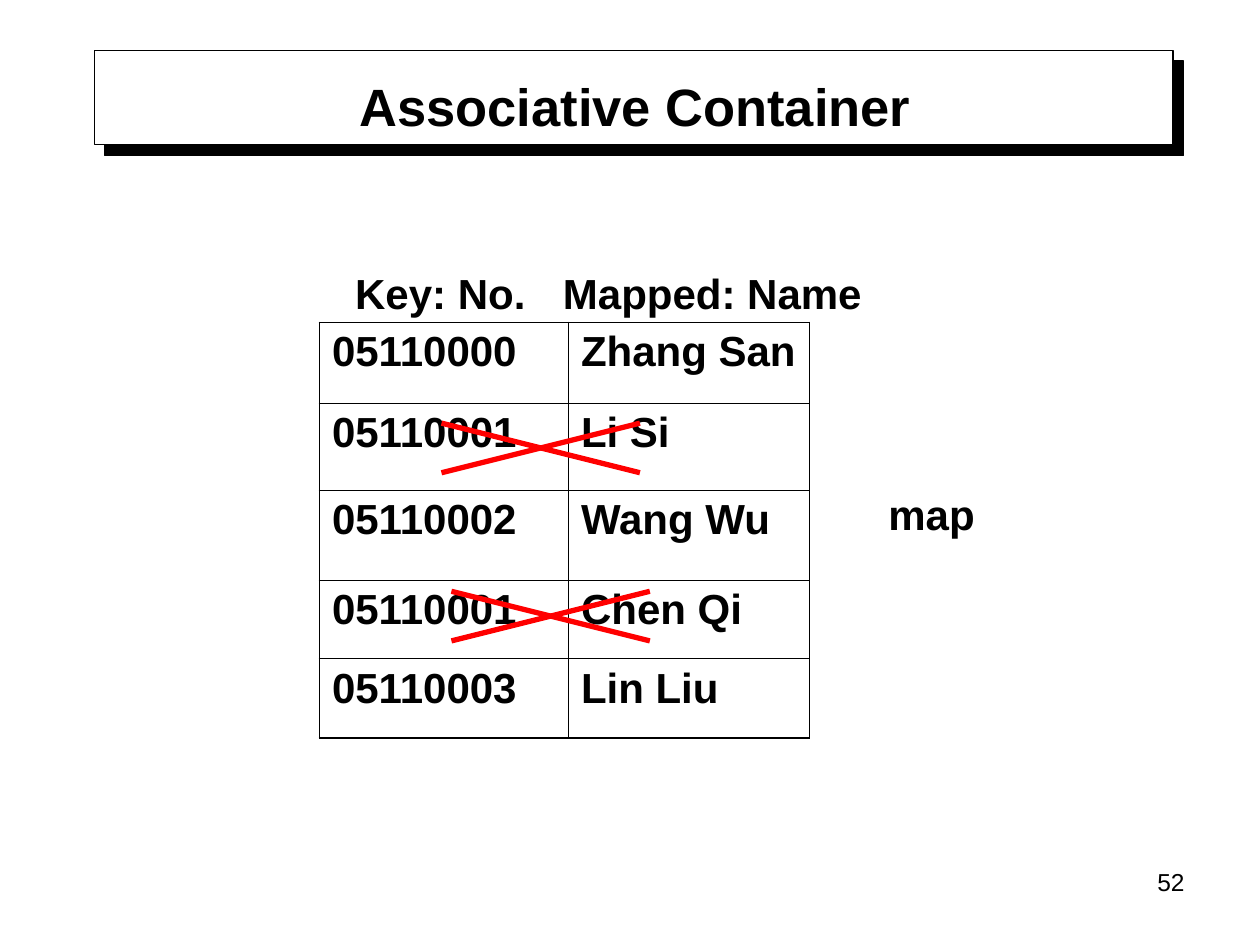
from dataclasses import dataclass

from lxml.etree import SubElement
from pptx import Presentation
from pptx.dml.color import RGBColor as RGB
from pptx.enum.shapes import MSO_CONNECTOR as CONN, MSO_SHAPE as SHAPE
from pptx.enum.text import MSO_ANCHOR as ANCHOR, PP_ALIGN as ALIGN
from pptx.oxml.ns import qn
from pptx.util import Cm, Pt


@dataclass(frozen=True)
class Theme:
    font: str = "Arial"
    ink: str = "000000"
    paper: str = "FFFFFF"
    strike: str = "FF0000"
    title: int = 30
    body: int = 24
    number: int = 14
    outer: float = 1.08
    inner: float = 0.45


THEME = Theme()
BAR = (1.9, 1.02, 21.75, 1.9)
TEXTS = [
    ("52", (18.21, 17.35, 5.92, 1.32), THEME.number, False, ALIGN.RIGHT, ANCHOR.TOP, True),
    ("Associative Container", (1.91, 1.32, 21.79, 1.6), THEME.title, True, ALIGN.CENTER, ANCHOR.MIDDLE, True),
]
LABELS = [
    ("Key: No.", (6.91, 5.26, 4.17, 1.27)),
    ("Mapped: Name", (11.1, 5.26, 6.76, 1.27)),
    ("map", (17.66, 9.73, 2.24, 1.27)),
]
RECORDS = [
    ("05110000", "Zhang San"),
    ("05110001", "Li Si"),
    ("05110002", "Wang Wu"),
    ("05110001", "Chen Qi"),
    ("05110003", "Lin Liu"),
]
TABLE_AT = (6.44, 6.5)
COL_WIDTHS = (5.02, 4.86)
ROW_HEIGHTS = (1.63, 1.75, 1.81, 1.59, 1.6)
CROSSES = [(8.9, 8.53), (9.1, 11.92)]
CROSS_SIZE = (4, 1)


def cm(values):
    return [Cm(v) for v in values]


def style(p, size, bold, align=ALIGN.LEFT):
    p.alignment = align
    for r in p.runs:
        r.font.name, r.font.size, r.font.bold = THEME.font, Pt(size), bold
        r.font.color.rgb = RGB.from_string(THEME.ink)


def add_bar(s):
    sp = s.shapes.add_shape(SHAPE.RECTANGLE, *cm(BAR))
    sp.fill.solid()
    sp.fill.fore_color.rgb = RGB.from_string(THEME.paper)
    sp.line.color.rgb = RGB.from_string(THEME.ink)
    sp.line.width = Pt(0.75)
    sp.shadow.inherit = False
    effects = sp._element.spPr.find(qn("a:effectLst"))
    shadow = SubElement(effects, qn("a:outerShdw"), blurRad="0", dist=str(Pt(8.5)),
                        dir="2700000", algn="ctr", rotWithShape="0")
    SubElement(shadow, qn("a:srgbClr"), val=THEME.ink)


def add_text(s, text, box, size=THEME.body, bold=True, align=ALIGN.LEFT, anchor=ANCHOR.MIDDLE, wrap=False):
    tf = s.shapes.add_textbox(*cm(box)).text_frame
    tf.text = text
    tf.word_wrap = wrap
    tf.vertical_anchor = anchor
    style(tf.paragraphs[0], size, bold, align)


def add_borders(cell, outer_sides):
    tc_pr = cell._tc.get_or_add_tcPr()
    for side in "LRTB":
        width = THEME.outer if side in outer_sides else THEME.inner
        ln = SubElement(tc_pr, qn(f"a:ln{side}"), w=str(Pt(width)))
        fill = SubElement(ln, qn("a:solidFill"))
        SubElement(fill, qn("a:srgbClr"), val=THEME.ink)


def add_records(s):
    rows, cols = len(RECORDS), len(COL_WIDTHS)
    size = (sum(COL_WIDTHS), sum(ROW_HEIGHTS))
    table = s.shapes.add_table(rows, cols, *cm(TABLE_AT + size)).table
    table.first_row = table.horz_banding = False
    for col, width in zip(table.columns, COL_WIDTHS):
        col.width = Cm(width)
    for i, (record, height) in enumerate(zip(RECORDS, ROW_HEIGHTS)):
        table.rows[i].height = Cm(height)
        for j, value in enumerate(record):
            cell = table.cell(i, j)
            cell.text_frame.text = value
            style(cell.text_frame.paragraphs[0], THEME.body, True)
            edges = {"L": j == 0, "R": j == cols - 1, "T": i == 0, "B": i == rows - 1}
            add_borders(cell, [side for side, is_outer in edges.items() if is_outer])
            cell.fill.background()


def add_cross(s, x, y):
    group = s.shapes.add_group_shape()
    w, h = CROSS_SIZE
    for y1, y2 in ((y, y + h), (y + h, y)):
        line = group.shapes.add_connector(CONN.STRAIGHT, *cm((x, y1, x + w, y2)))
        line.line.color.rgb = RGB.from_string(THEME.strike)
        line.line.width = Pt(3)
        SubElement(line._element.spPr, qn("a:effectLst"))


def main():
    """Build the associative container slide."""
    prs = Presentation()
    prs.slide_width, prs.slide_height = cm((25.4, 19.05))
    s = prs.slides.add_slide(prs.slide_layouts[6])
    add_bar(s)
    for text in TEXTS:
        add_text(s, *text)
    add_records(s)
    for label in LABELS:
        add_text(s, *label)
    for corner in CROSSES:
        add_cross(s, *corner)
    prs.save("out.pptx")


if __name__ == "__main__":
    main()
